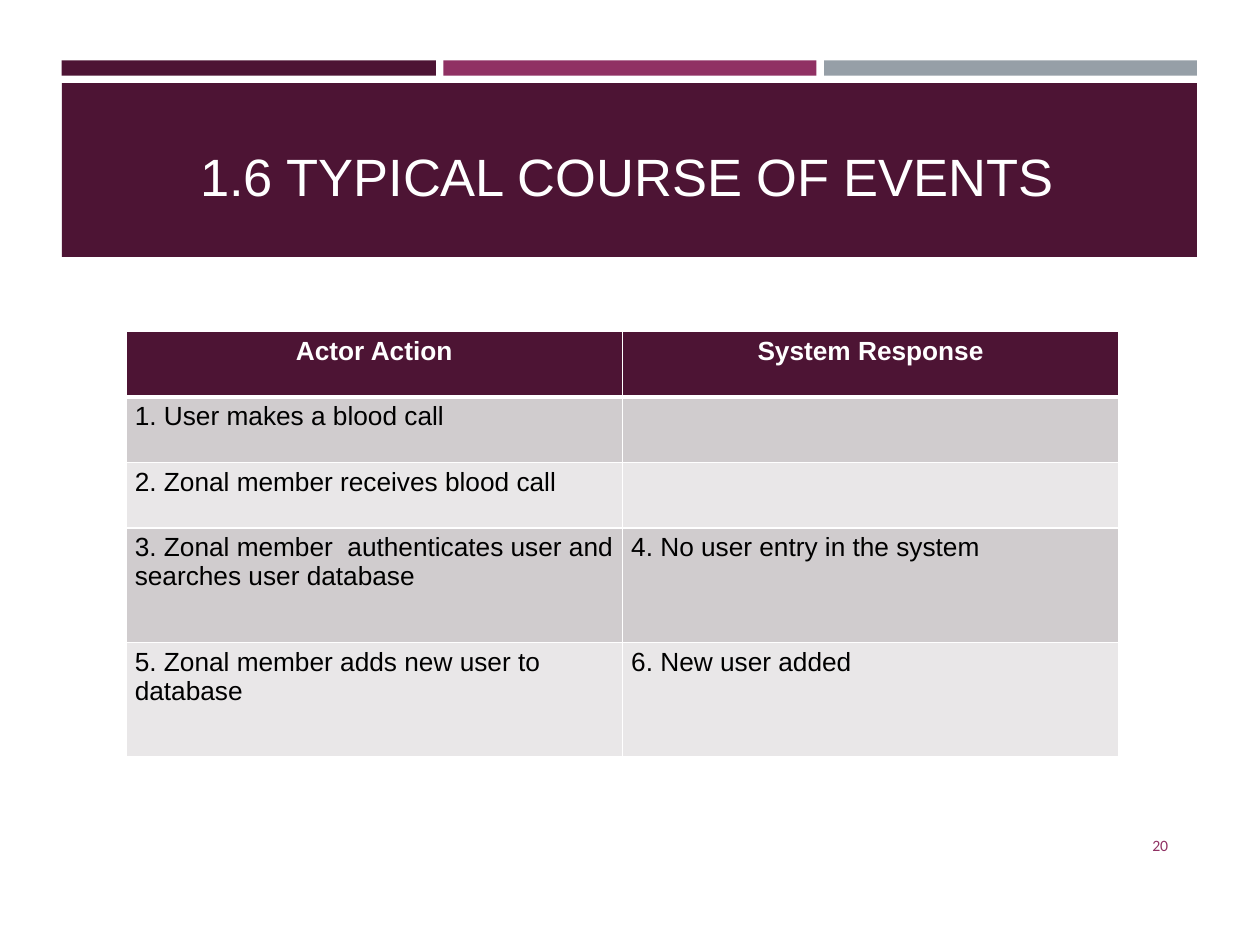
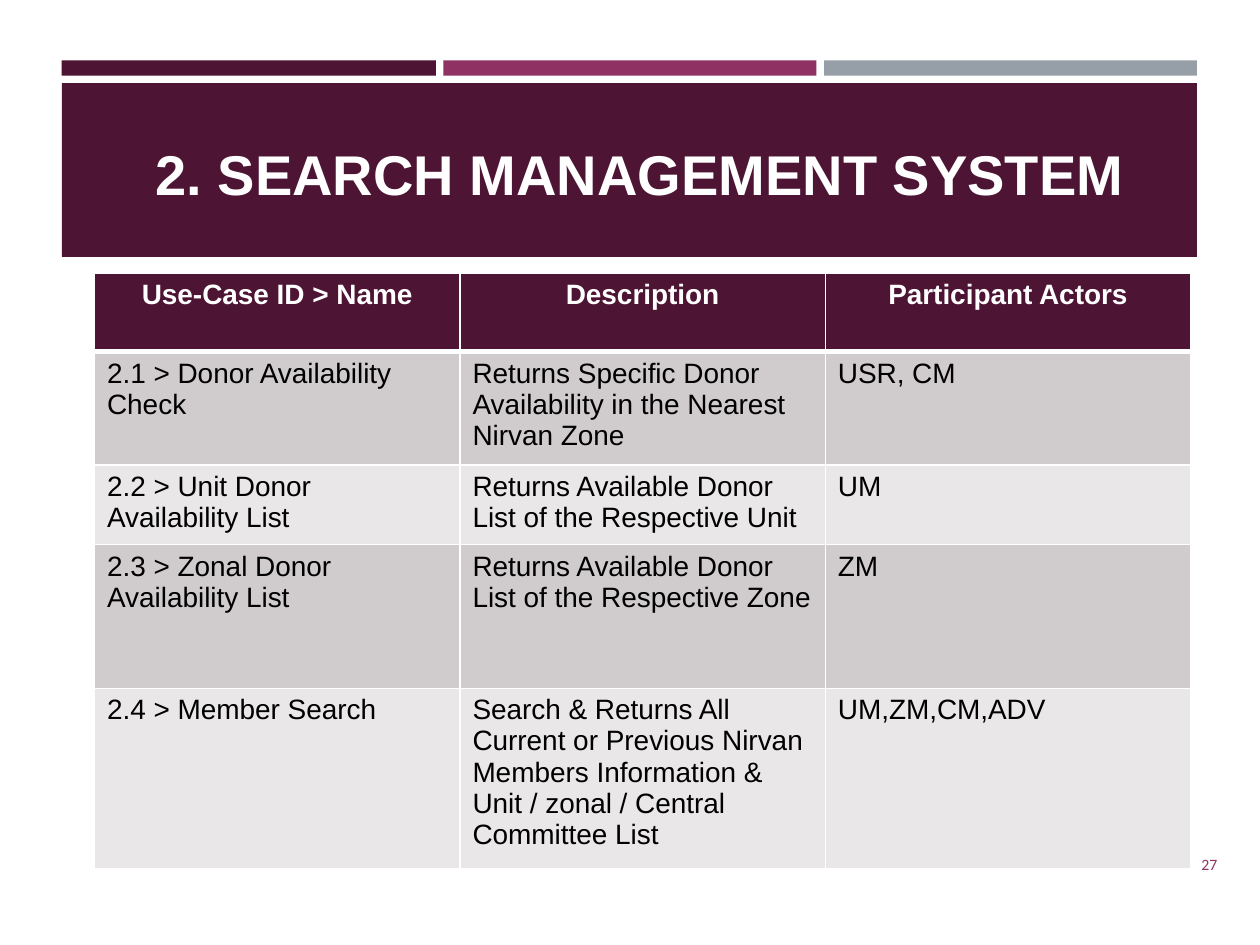
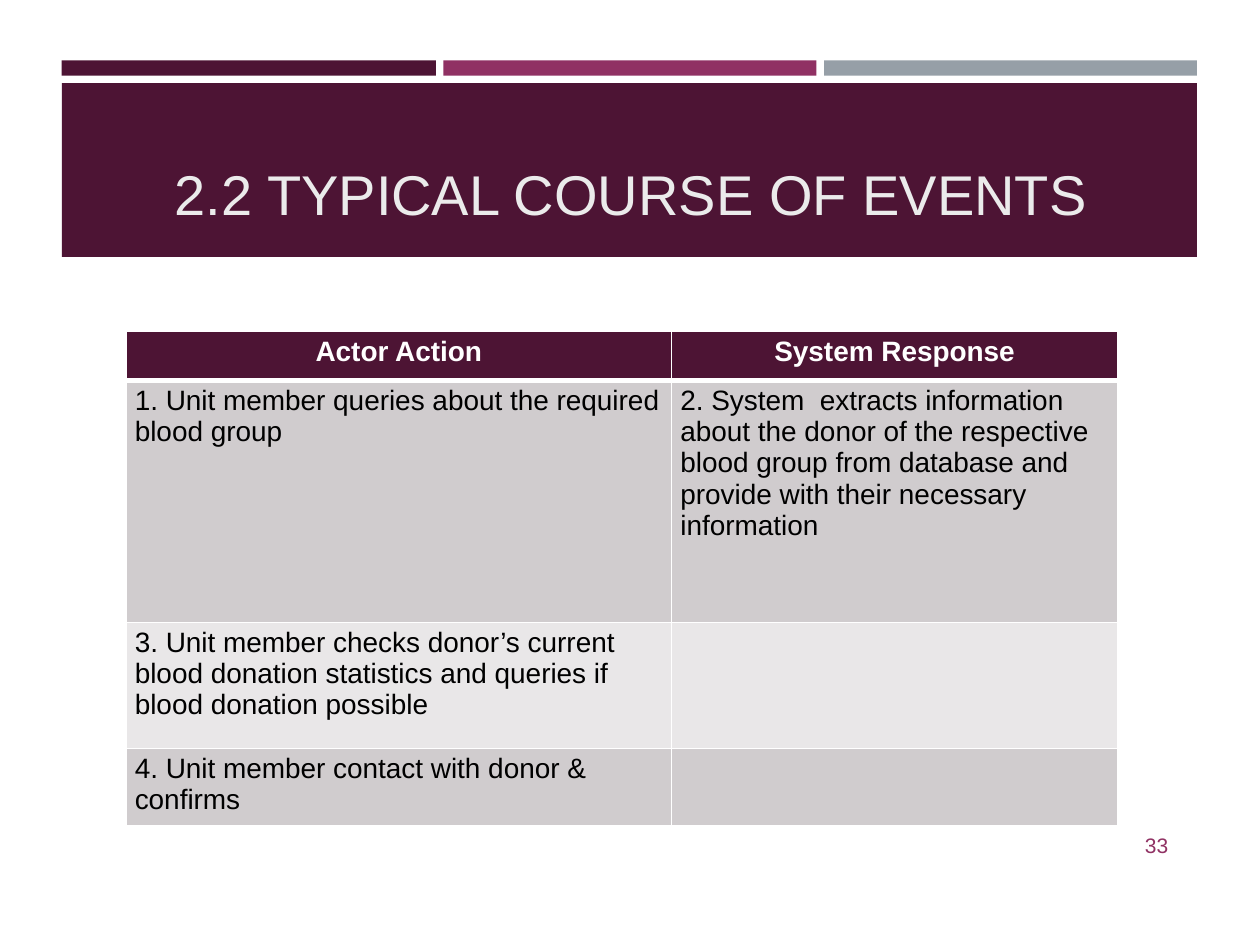
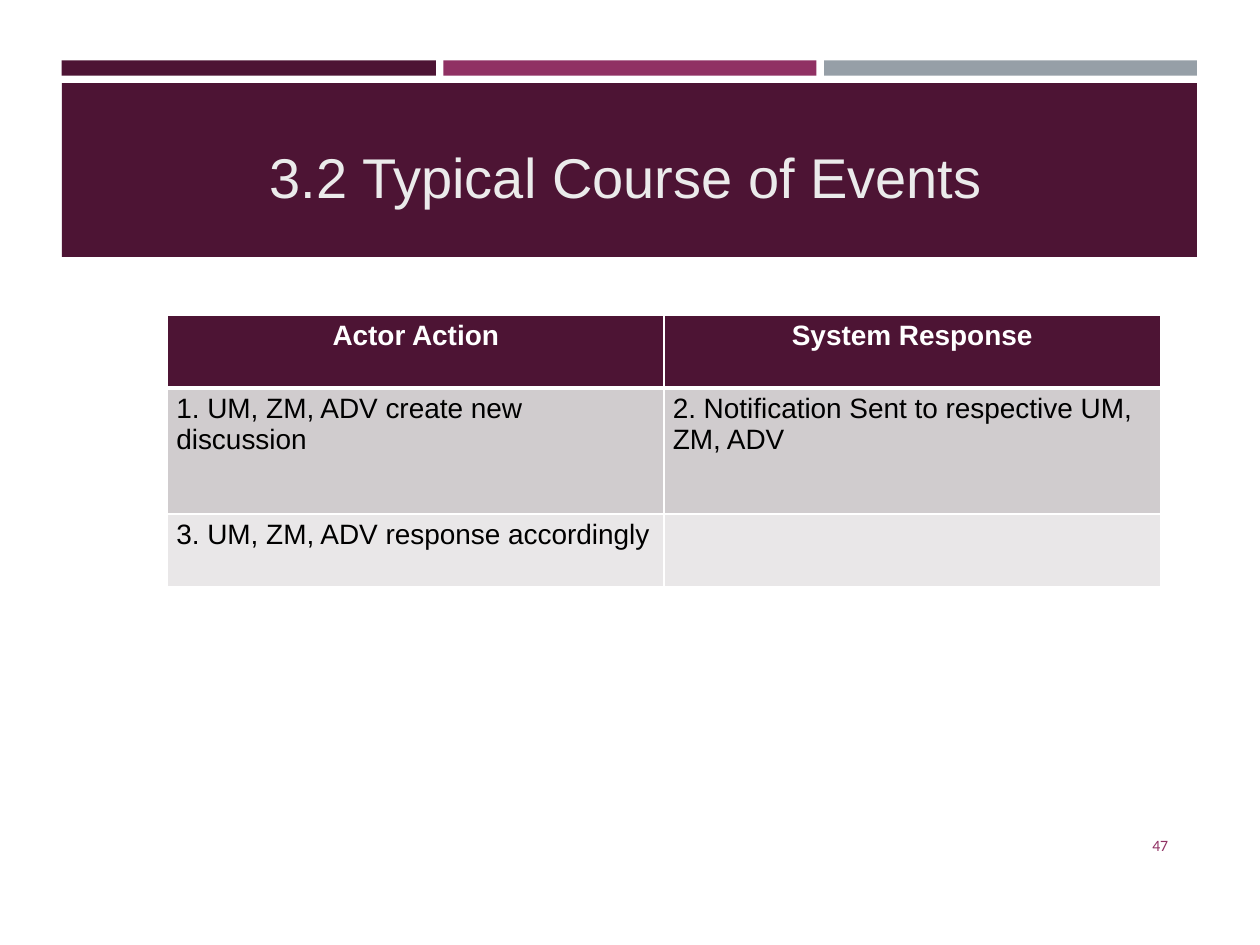
"""Build four use-case slides, each a banded title above a table."""
import dataclasses

import lxml.etree
import pptx
import pptx.dml.color
import pptx.enum.shapes
import pptx.enum.text
import pptx.oxml.ns
import pptx.util

Inches = pptx.util.Inches
Align = pptx.enum.text.PP_ALIGN
Anchor = pptx.enum.text.MSO_ANCHOR


@dataclasses.dataclass(frozen=True)
class Theme:
    plum: str = "4D1434"
    magenta: str = "903163"
    slate: str = "969FA7"
    white: str = "FFFFFF"
    soft_white: str = "EBEBEB"
    black: str = "000000"
    row_fills: tuple = ("D0CCCE", "E9E7E8")
    font: str = "Arial"
    number_font: str = "Calibri"
    title_size: int = 32
    table_size: int = 16
    number_size: int = 9
    border: int = 1
    header_border: int = 3


theme = Theme()


def write(frame, text, size, color, align, font=theme.font, bold=False):
    frame.word_wrap = True
    paragraph = frame.paragraphs[0]
    paragraph.text = text
    paragraph.alignment = align
    paragraph.font.name = font
    paragraph.font.size = pptx.util.Pt(size)
    paragraph.font.bold = bold
    paragraph.font.color.rgb = pptx.dml.color.RGBColor.from_string(color)


def add_borders(cell, top, bottom):
    properties = cell._tc.get_or_add_tcPr()
    widths = {"a:lnL": theme.border, "a:lnR": theme.border, "a:lnT": top, "a:lnB": bottom}
    qn = pptx.oxml.ns.qn
    for tag, width in widths.items():
        line = lxml.etree.SubElement(properties, qn(tag), w=str(pptx.util.Pt(width)))
        fill = lxml.etree.SubElement(line, qn("a:solidFill"))
        lxml.etree.SubElement(fill, qn("a:srgbClr"), val=theme.white)


bands = [
    (0.49, 0.48, 2.97, 0.12, theme.plum),
    (3.52, 0.48, 2.96, 0.12, theme.magenta),
    (6.54, 0.48, 2.96, 0.12, theme.slate),
    (0.49, 0.66, 9.01, 1.38, theme.plum),
]
page_defaults = dict(
    title_box=(0.98, 0.92, 8, 0.77),
    title_size=theme.title_size,
    title_color=theme.white,
    title_bold=False,
    table_size=theme.table_size,
    cell_insets=(0.07, 0.04),
    columns=(3.94, 3.94),
    number_box=(8.53, 6.51, 0.84, 0.4),
    number_font=theme.number_font,
    number_size=theme.number_size,
)
event_header = ("Actor Action", "System Response")
pages = [
    dict(
        title="1.6 TYPICAL COURSE OF EVENTS",
        title_size=30,
        table_at=(1, 2.63),
        table_size=15,
        heights=(0.52, 0.52, 0.52, 0.91, 0.91),
        rows=[
            event_header,
            ("1. User makes a blood call", ""),
            ("2. Zonal member receives blood call", ""),
            ("3. Zonal member  authenticates user and searches user database",
             "4. No user entry in the system"),
            ("5. Zonal member adds new user to database", "6. New user added"),
        ],
        number="20",
    ),
    dict(
        title="2. SEARCH MANAGEMENT SYSTEM",
        title_box=(0.71, 0.92, 8.74, 0.77),
        title_bold=True,
        table_at=(0.75, 2.17),
        cell_insets=(0.1, 0.05),
        columns=(2.9, 2.9, 2.9),
        heights=(0.62, 0.88, 0.62, 1.14, 1.4),
        rows=[
            ("Use-Case ID > Name", "Description", "Participant Actors"),
            ("2.1 > Donor Availability Check",
             "Returns Specific Donor Availability in the Nearest Nirvan Zone", "USR, CM"),
            ("2.2 > Unit Donor Availability List",
             "Returns Available Donor List of the Respective Unit", "UM"),
            ("2.3 > Zonal Donor Availability List",
             "Returns Available Donor List of the Respective Zone", "ZM"),
            ("2.4 > Member Search",
             "Search & Returns All Current or Previous Nirvan Members "
             "Information & Unit / zonal / Central Committee List", "UM,ZM,CM,ADV"),
        ],
        number="27",
        number_box=(9.14, 6.66, 0.62, 0.4),
    ),
    dict(
        title="2.2 TYPICAL COURSE OF EVENTS",
        title_box=(0.64, 1, 8.74, 0.85),
        title_color=theme.soft_white,
        table_at=(1, 2.63),
        columns=(4.33, 3.54),
        heights=(0.39, 1.92, 1, 0.57),
        rows=[
            event_header,
            ("1. Unit member queries about the required blood group",
             "2. System  extracts information about the donor of the respective blood group "
             "from database and provide with their necessary information"),
            ("3. Unit member checks donor’s current blood donation statistics "
             "and queries if blood donation possible", ""),
            ("4. Unit member contact with donor & confirms", ""),
        ],
        number="33",
        number_font=theme.font,
        number_size=12,
    ),
    dict(
        title="3.2 Typical Course of Events",
        title_box=(0.97, 0.92, 8, 0.79),
        title_color=theme.soft_white,
        table_at=(1.33, 2.5),
        heights=(0.58, 1, 0.58),
        rows=[
            event_header,
            ("1. UM, ZM, ADV create new discussion",
             "2. Notification Sent to respective UM, ZM, ADV"),
            ("3. UM, ZM, ADV response accordingly", ""),
        ],
        number="47",
    ),
]

presentation = pptx.Presentation()
presentation.slide_width = Inches(10)
presentation.slide_height = Inches(7.5)

for page in pages:
    page = page_defaults | page
    slide = presentation.slides.add_slide(presentation.slide_layouts[6])

    for *box, color in bands:
        band = slide.shapes.add_shape(
            pptx.enum.shapes.MSO_SHAPE.RECTANGLE, *map(Inches, box))
        band.shadow.inherit = False
        band.fill.solid()
        band.fill.fore_color.rgb = pptx.dml.color.RGBColor.from_string(color)
        band.line.fill.background()

    title = slide.shapes.add_textbox(*map(Inches, page["title_box"])).text_frame
    title.vertical_anchor = Anchor.BOTTOM
    write(title, page["title"], page["title_size"], page["title_color"], Align.CENTER,
          bold=page["title_bold"])

    rows, columns, heights = page["rows"], page["columns"], page["heights"]
    size = (sum(columns), sum(heights))
    table = slide.shapes.add_table(
        len(rows), len(columns), *map(Inches, page["table_at"] + size)).table
    for column, width in zip(table.columns, columns):
        column.width = Inches(width)
    side, edge = map(Inches, page["cell_insets"])
    for row_index, texts in enumerate(rows):
        is_header = row_index == 0
        table.rows[row_index].height = Inches(heights[row_index])
        row_fill = theme.plum if is_header else theme.row_fills[(row_index - 1) % 2]
        for column_index, text in enumerate(texts):
            cell = table.cell(row_index, column_index)
            cell.margin_left = cell.margin_right = side
            cell.margin_top = cell.margin_bottom = edge
            add_borders(cell,
                        top=theme.header_border if row_index == 1 else theme.border,
                        bottom=theme.header_border if is_header else theme.border)
            cell.fill.solid()
            cell.fill.fore_color.rgb = pptx.dml.color.RGBColor.from_string(row_fill)
            write(cell.text_frame, text, page["table_size"],
                  theme.white if is_header else theme.black,
                  Align.CENTER if is_header else Align.LEFT, bold=is_header)

    number = slide.shapes.add_textbox(*map(Inches, page["number_box"])).text_frame
    number.vertical_anchor = Anchor.MIDDLE
    write(number, page["number"], page["number_size"], theme.magenta, Align.RIGHT,
          font=page["number_font"])

presentation.save("out.pptx")
